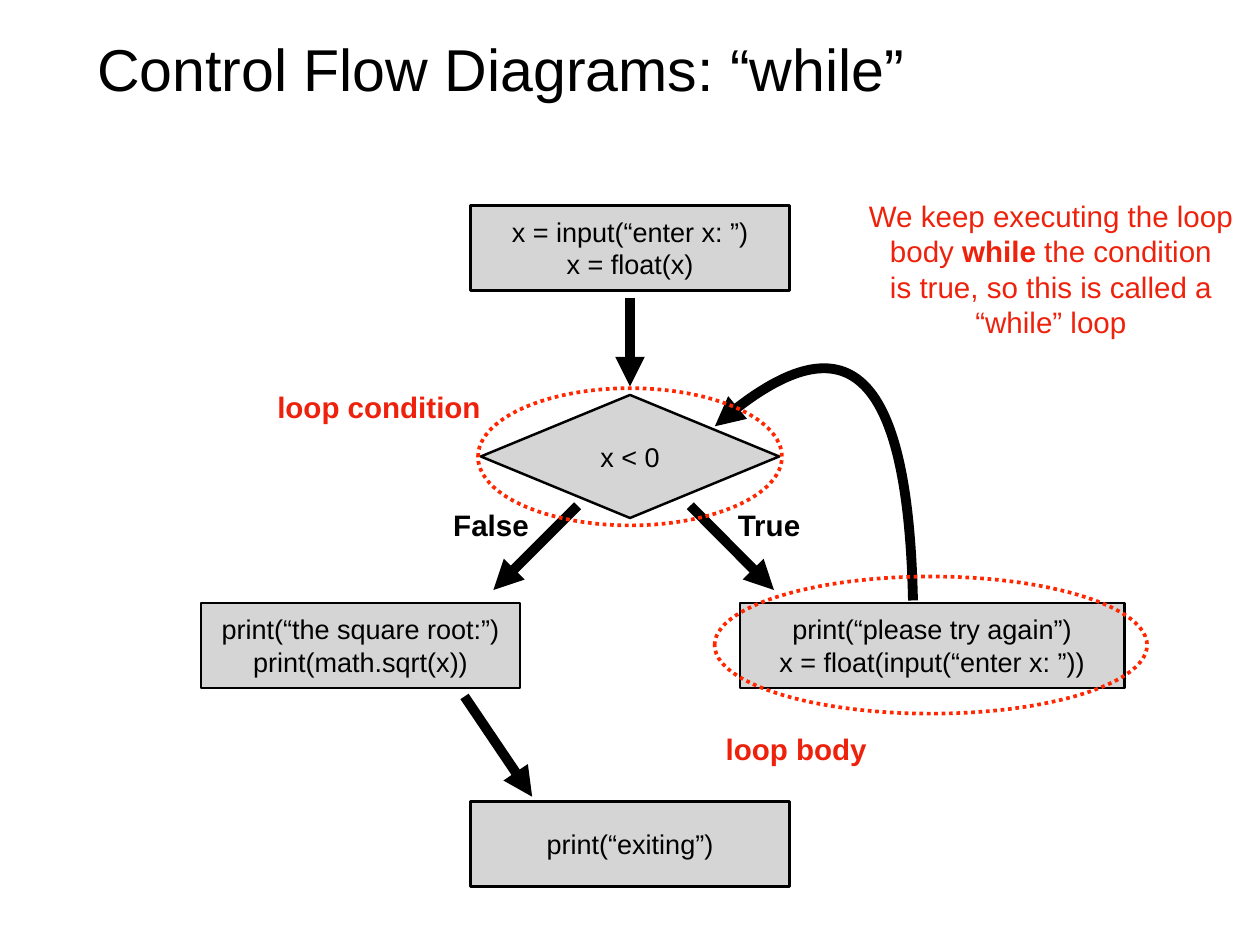
"""Build a slide with the control flow diagram of a while loop."""
import pptx
import pptx.dml.color
import pptx.enum.dml
import pptx.enum.shapes
import pptx.enum.text
import pptx.oxml
import pptx.oxml.ns
import pptx.util

Pt = pptx.util.Pt
RGB = pptx.dml.color.RGBColor
KIND = pptx.enum.shapes.MSO_SHAPE
ALIGN = pptx.enum.text.PP_ALIGN
BLACK = RGB(0, 0, 0)
GREY = RGB(0xD6, 0xD5, 0xD5)
RED = RGB(0xEE, 0x22, 0x0C)
BRIGHT = RGB(0xFF, 0x26, 0x00)

WIDE, HIGH = 1024, 768
MID = WIDE / 2
BOX_H, RING_H, LABEL_H = 69, 111.5, 37
TITLE = "Control Flow Diagrams: “while”"
BOXES = [
    (KIND.RECTANGLE, MID, 167, 259, BOX_H, ["x = input(“enter x: ”)", "x = float(x)"]),
    (KIND.DIAMOND, MID, 321, 242.5, 100, ["x < 0"]),
    (KIND.RECTANGLE, 293, 490, 259, BOX_H,
     ["print(“the square root:”)", "print(math.sqrt(x))"]),
    (KIND.RECTANGLE, 757.5, 490, 312.5, BOX_H,
     ["print(“please try again”)", "x = float(input(“enter x: ”))"]),
    (KIND.RECTANGLE, MID, 651.5, 259, BOX_H, ["print(“exiting”)"]),
]
ARROWS = [
    (MID, 242.5, MID, 314),
    (561, 411, 629, 479.5),
    (469.5, 411, 401, 479.5),
    (377.5, 566, 432.5, 647.5),
]
LABELS = [
    ("True", 625, 408, 64, BLACK),
    ("False", 399, 408, 74, BLACK),
    ("loop body", 647, 590, 128, RED),
    ("loop condition", 308, 312, 178, RED),
]
NOTE = [("We keep executing the loop body ", False), ("while", True),
        (" the condition", False), ("\n", False),
        ("is true, so this is called a “while” loop", False)]
RINGS = [(MID, 315.5, 247), (756.5, 468.5, 351.5)]
CURVE = [(742, 488), (738, 302.5), (684, 255), (581, 346.5)]
CREST = (690, 302)


def place(mid, top, wide, high):
    return [Pt(n) for n in (mid - wide / 2, top, wide, high)]


def style(item, **values):
    for name, value in values.items():
        setattr(item, name, value)


def write(shape, lines, size, color, align=ALIGN.CENTER, **values):
    """Fill a shape with lines, each a list of (text, bold) runs."""
    frame = shape.text_frame
    edges = ("left", "right", "top", "bottom")
    look = {"margin_" + edge: Pt(4) for edge in edges}
    look.update(word_wrap=True, vertical_anchor=pptx.enum.text.MSO_ANCHOR.MIDDLE)
    look.update(values)
    style(frame, **look)
    for index, line in enumerate(lines):
        para = frame.add_paragraph() if index else frame.paragraphs[0]
        para.alignment = align
        for text, bold in line:
            if text == "\n":
                para.add_line_break()
                continue
            run = para.add_run()
            run.text = text
            style(run.font, name="Arial", size=Pt(size), bold=bold)
            run.font.color.rgb = color


def stroke(shape, color, width, **values):
    style(shape.line, width=Pt(width), **values)
    shape.line.color.rgb = color


def add_head(shape):
    line = shape.line._get_or_add_ln()
    line.append(pptx.oxml.parse_xml(
        f'<a:tailEnd {pptx.oxml.ns.nsdecls("a")} type="triangle"/>'))


def add_curve(shapes):
    start, *rest = CURVE
    build = shapes.build_freeform(Pt(start[0]), Pt(start[1]))
    build.add_line_segments([(Pt(x), Pt(y)) for x, y in (CREST, CURVE[-1])], close=False)
    shape = build.convert_to_shape()
    shape.shadow.inherit = False
    shape.fill.background()
    stroke(shape, BLACK, 8)
    add_head(shape)
    track = shape._element.xpath(".//a:path")[0]
    for step in track.xpath("a:lnTo"):
        track.remove(step)
    dots = "".join(f'<a:pt x="{Pt(x) - shape.left}" y="{Pt(y) - shape.top}"/>'
                   for x, y in rest)
    track.append(pptx.oxml.parse_xml(
        f'<a:cubicBezTo {pptx.oxml.ns.nsdecls("a")}>{dots}</a:cubicBezTo>'))


def main():
    deck = pptx.Presentation()
    style(deck, slide_width=Pt(WIDE), slide_height=Pt(HIGH))
    shapes = deck.slides.add_slide(deck.slide_layouts[6]).shapes

    title = shapes.add_textbox(*place(MID, 19.5, 874, 71.5))
    write(title, [[(TITLE, False)]], 48, BLACK, ALIGN.LEFT)

    for kind, *spot, lines in BOXES:
        box = shapes.add_shape(kind, *place(*spot))
        box.shadow.inherit = False
        box.fill.solid()
        box.fill.fore_color.rgb = GREY
        stroke(box, BLACK, 2)
        write(box, [[(line, False)] for line in lines], 22, BLACK)

    for ends in ARROWS:
        arrow = shapes.add_connector(
            pptx.enum.shapes.MSO_CONNECTOR.STRAIGHT, *map(Pt, ends))
        stroke(arrow, BLACK, 8)
        add_head(arrow)
        arrow._element.spPr.append(pptx.oxml.parse_xml(
            f'<a:effectLst {pptx.oxml.ns.nsdecls("a")}/>'))

    for text, mid, top, wide, color in LABELS:
        label = shapes.add_textbox(*place(mid, top, wide, LABEL_H))
        write(label, [[(text, True)]], 24, color, word_wrap=False,
              auto_size=pptx.enum.text.MSO_AUTO_SIZE.SHAPE_TO_FIT_TEXT)

    note = shapes.add_textbox(*place(854, 157, 311, 123))
    write(note, [NOTE], 24, RED)

    add_curve(shapes)

    for spot in RINGS:
        ring = shapes.add_shape(KIND.OVAL, *place(*spot, RING_H))
        ring.shadow.inherit = False
        ring.fill.background()
        stroke(ring, BRIGHT, 3, dash_style=pptx.enum.dml.MSO_LINE.ROUND_DOT)

    deck.save("out.pptx")


if __name__ == "__main__":
    main()
